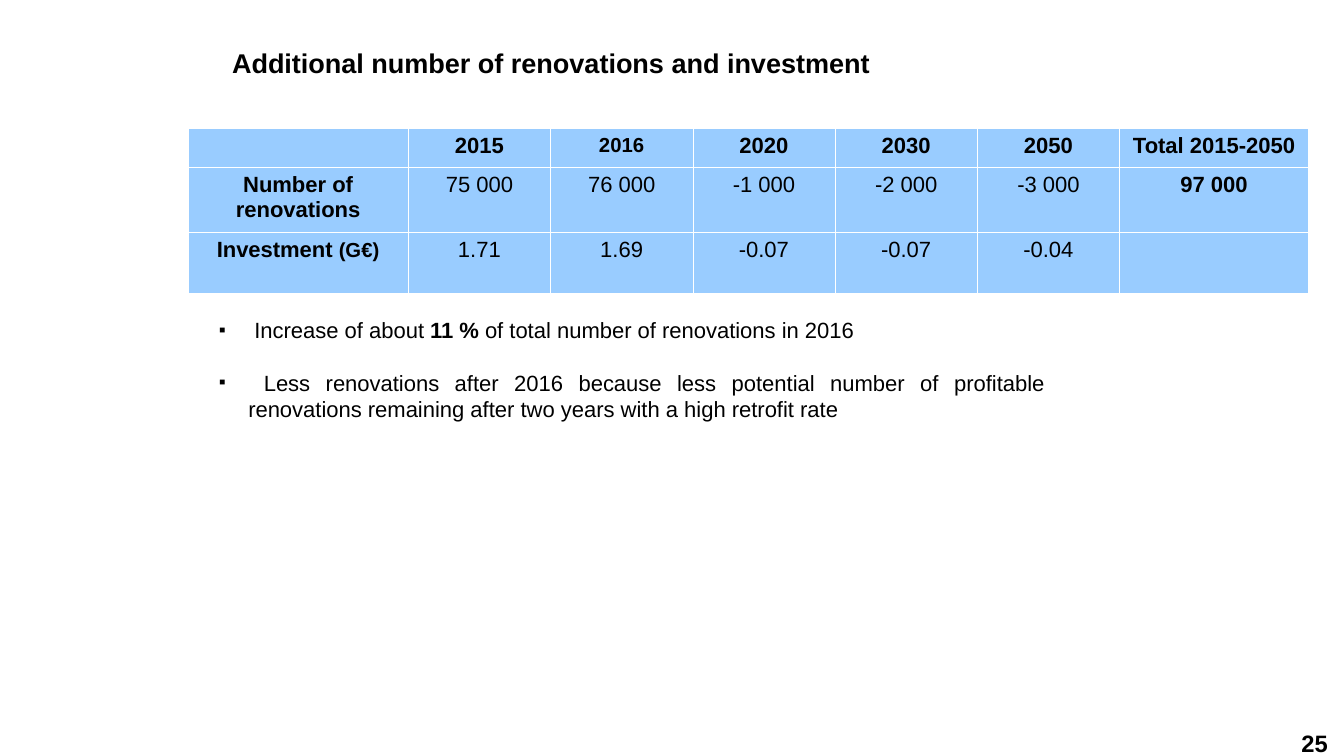
from lxml.etree import SubElement
from pptx import Presentation
from pptx.dml.color import RGBColor
from pptx.enum.text import MSO_ANCHOR, PP_ALIGN
from pptx.oxml.ns import qn
from pptx.util import Pt

BLACK = RGBColor(0, 0, 0)
LIGHT_BLUE = RGBColor(0x99, 0xCC, 0xFF)
WHITE = RGBColor(0xFF, 0xFF, 0xFF)


def format_font(font, size, bold=False):
    font.name = "Arial"
    font.size = Pt(size)
    font.bold = bold
    font.color.rgb = BLACK


def set_margins(text_frame, left, top, right, bottom):
    text_frame.margin_left, text_frame.margin_top = Pt(left), Pt(top)
    text_frame.margin_right, text_frame.margin_bottom = Pt(right), Pt(bottom)
    text_frame.word_wrap = True


presentation = Presentation()
presentation.slide_width = Pt(793.5)
presentation.slide_height = Pt(446.5)
slide = presentation.slides.add_slide(presentation.slide_layouts[5])

# Title
title = slide.shapes.title
title.left, title.top, title.width, title.height = Pt(65), Pt(23), Pt(688), Pt(28)
set_margins(title.text_frame, 72, 0, 0, 0)
title.text_frame.vertical_anchor = MSO_ANCHOR.MIDDLE
title.text_frame.text = "Additional number of renovations and investment"
paragraph = title.text_frame.paragraphs[0]
paragraph.alignment = PP_ALIGN.LEFT
format_font(paragraph.font, 16, True)

# Table
rows = [
    ["", "2015", "2016", "2020", "2030", "2050", "Total 2015-2050"],
    ["Number of renovations", "75 000", "76 000", "-1 000", "-2 000", "-3 000", "97 000"],
    ["Investment ", "1.71", "1.69", "-0.07", "-0.07", "-0.04", ""],
]
column_widths = [130] + [84] * 5 + [111.5]
row_heights = [23, 38.5, 36]
table = slide.shapes.add_table(
    len(rows), len(column_widths), Pt(111), Pt(75.5),
    Pt(sum(column_widths)), Pt(sum(row_heights))).table
for column, width in zip(table.columns, column_widths):
    column.width = Pt(width)
for row, height in zip(table.rows, row_heights):
    row.height = Pt(height)

for row_index, texts in enumerate(rows):
    for column_index, text in enumerate(texts):
        cell = table.cell(row_index, column_index)
        properties = cell._tc.get_or_add_tcPr()
        for side in ("a:lnL", "a:lnR", "a:lnT", "a:lnB"):
            border = SubElement(properties, qn(side), w=str(Pt(0.06)))
            border_fill = SubElement(border, qn("a:solidFill"))
            SubElement(border_fill, qn("a:srgbClr"), val=str(WHITE))
        cell.fill.solid()
        cell.fill.fore_color.rgb = LIGHT_BLUE
        paragraph = cell.text_frame.paragraphs[0]
        paragraph.alignment = PP_ALIGN.CENTER
        bold = row_index == 0 or column_index in (0, len(texts) - 1)
        format_font(paragraph.font, 12 if text == "2016" else 13, bold)
        if text:
            paragraph.add_run().text = text
        else:
            SubElement(paragraph._p, qn("a:endParaRPr"), sz="1300")

unit = table.cell(2, 0).text_frame.paragraphs[0].add_run()
unit.text = "(G€)"
unit.font.size = Pt(12)

# Findings
findings = [
    [(" Increase of about", False), (" 11\u00a0% ".replace("\u00a0", " "), True),
     ("of total number of renovations in 2016", False)],
    [(" Less renovations after 2016 because less potential number of profitable "
      "renovations remaining after two years with a high retrofit rate", False)],
]
text_frame = slide.shapes.add_textbox(Pt(122.5), Pt(183.5), Pt(501), Pt(137.5)).text_frame
set_margins(text_frame, 7.2, 3.6, 7.2, 3.6)
for index, parts in enumerate(findings):
    paragraph = text_frame.add_paragraph() if index else text_frame.paragraphs[0]
    paragraph.alignment = PP_ALIGN.JUSTIFY
    paragraph.space_before = Pt(15.5 * index)
    format_font(paragraph.font, 13)
    properties = paragraph._p.get_or_add_pPr()
    properties.set("marL", str(Pt(17)))
    properties.set("indent", str(Pt(-17)))
    bullet_color = SubElement(properties, qn("a:buClr"))
    SubElement(bullet_color, qn("a:srgbClr"), val=str(BLACK))
    SubElement(properties, qn("a:buSzPct"), val="45000")
    SubElement(properties, qn("a:buFont"), typeface="Arial")
    SubElement(properties, qn("a:buChar"), char="■")
    properties.append(properties.find(qn("a:defRPr")))
    for text, bold in parts:
        run = paragraph.add_run()
        run.text = text
        if bold:
            run.font.bold = True

# Page number
text_frame = slide.shapes.add_textbox(Pt(712), Pt(430.5), Pt(72), Pt(16)).text_frame
set_margins(text_frame, 0, 0, 0, 0)
text_frame.text = "25"
paragraph = text_frame.paragraphs[0]
paragraph.alignment = PP_ALIGN.RIGHT
format_font(paragraph.font, 14, True)

presentation.save("out.pptx")
